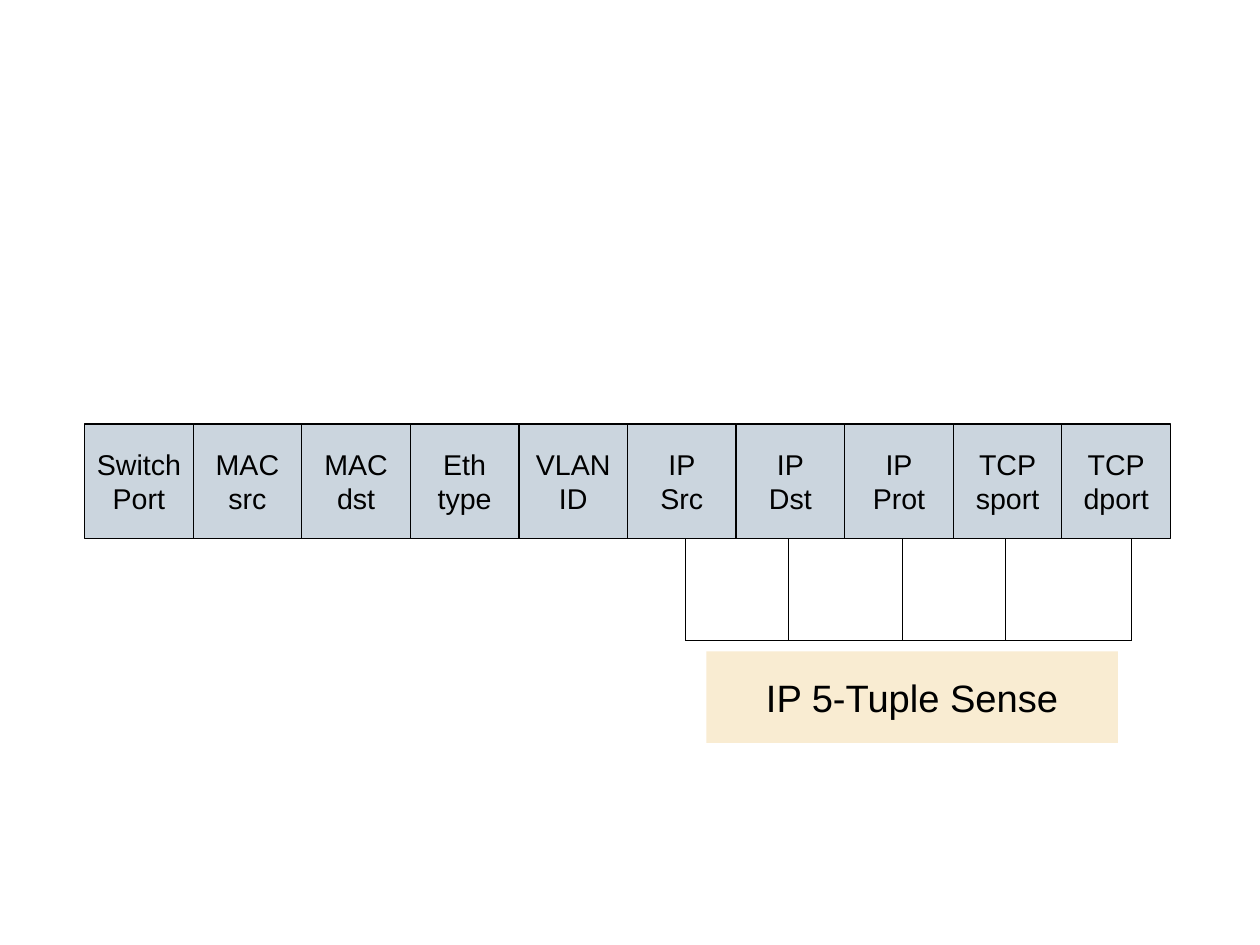
from lxml import etree
from pptx import Presentation
from pptx import util as u
from pptx.dml.color import RGBColor
from pptx.enum import shapes, text
from pptx.oxml.ns import qn

BLACK = RGBColor(0x00, 0x00, 0x00)
STEEL = RGBColor(0xCB, 0xD5, 0xDE)
CREAM = RGBColor(0xF9, 0xEC, 0xD2)

CM = 1 / 2.54
HAIR = 0.01
FIELDS = ["Switch\nPort", "MAC\nsrc", "MAC\ndst", "Eth\ntype", "VLAN\nID",
          "IP\nSrc", "IP\nDst", "IP\nProt", "TCP\nsport", "TCP\ndport"]
LEFT, TOP, WIDE, HIGH = 0.74, 3.71, 0.95, 1
DROPS = [6, 6.9, 7.9, 8.8, 9.9]
RAIL = 5.6


def write(frame, words, size=18, font="Arial", color=BLACK):
    frame.word_wrap = False
    frame.vertical_anchor = text.MSO_ANCHOR.MIDDLE
    frame.text = words
    for para in frame.paragraphs:
        para.alignment = text.PP_ALIGN.CENTER
        para.font.size = u.Pt(size)
        para.font.name = font
        para.font.color.rgb = color


class Board:
    def __init__(self, slide, ink=BLACK):
        self.slide = slide
        self.ink = ink

    def box(self, words, x, y, w, h, fill, edge=None, **style):
        """Add a filled rectangle; edge is the outline width in points."""
        box = self.slide.shapes.add_shape(
            shapes.MSO_SHAPE.RECTANGLE, *map(u.Inches, (x, y, w, h)))
        box.shadow.inherit = False
        box.fill.solid()
        box.fill.fore_color.rgb = fill
        if edge is None:
            box.line.fill.background()
        else:
            box.line.color.rgb = self.ink
            box.line.width = u.Pt(edge)
        write(box.text_frame, words, **style)

    def line(self, x1, y1, x2, y2):
        """Add a hairline without a shadow."""
        line = self.slide.shapes.add_connector(
            shapes.MSO_CONNECTOR.STRAIGHT, *map(u.Inches, (x1, y1, x2, y2)))
        line.line.color.rgb = self.ink
        line.line.width = u.Pt(HAIR)
        etree.SubElement(line._element.spPr, qn("a:effectLst"))


def main():
    deck = Presentation()
    deck.slide_width = u.Inches(28 * CM)
    deck.slide_height = u.Inches(21 * CM)
    board = Board(deck.slides.add_slide(deck.slide_layouts[6]))

    for i, field in enumerate(FIELDS):
        board.box(field, LEFT + i * WIDE, TOP, WIDE, HIGH, STEEL, edge=0.75)

    for x in DROPS:
        board.line(x, TOP + HIGH, x, RAIL)
    board.line(DROPS[0], RAIL, DROPS[-1], RAIL)

    board.box("IP 5-Tuple Sense", 6.18, 5.7, 3.6, 0.8, CREAM, size=24)
    deck.save("out.pptx")


if __name__ == "__main__":
    main()
